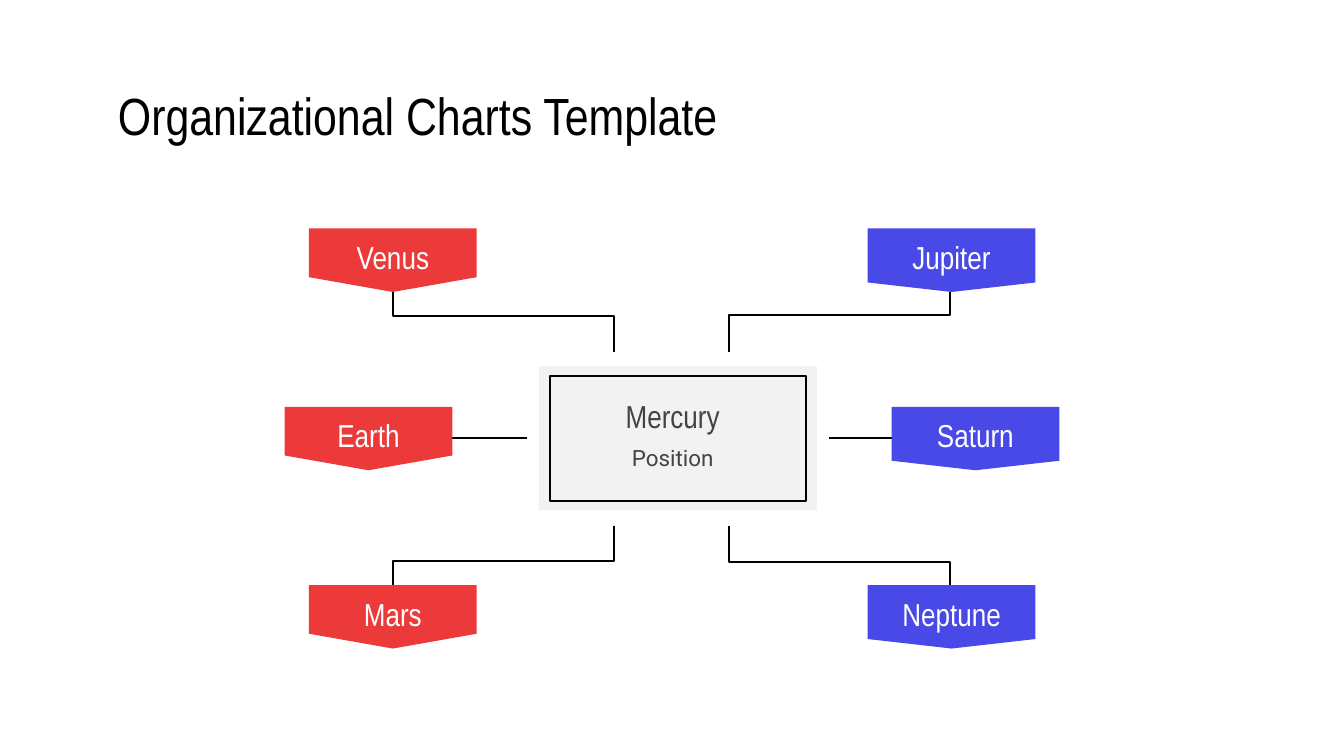
from dataclasses import dataclass

from pptx import Presentation
from pptx import util as u
from pptx.dml.color import RGBColor
from pptx.enum import shapes, text
from pptx.oxml.ns import qn
from pptx.util import Cm


@dataclass(frozen=True)
class Theme:
    black: str = "000000"
    white: str = "FFFFFF"
    red: str = "EC3A3B"
    blue: str = "4949E7"
    panel: str = "F2F2F2"
    grey: str = "434343"
    heading_font: str = "Arial Narrow"
    body_font: str = "Roboto"
    title_size: float = 28
    name_size: float = 17
    position_size: float = 12
    elbow_width: float = 1.06
    link_width: float = 1.17


@dataclass(frozen=True)
class Side:
    """One column of cards; lengths in cm."""
    names: tuple[str, str, str]
    color: str
    outer_left: float
    middle_left: float
    shoulder: float
    tip_x: float
    hub_x: float
    bends: tuple[float, float]
    link: tuple[float, float]


T = Theme()
CARD_W, CARD_H = 3.17, 1.2
CARD_TOP, CARD_STEP = 4.32, 3.37
HUB_TOP, HUB_BOTTOM, HUB_MIDDLE = 6.65, 9.94, 8.28
INSET, CARD_BOTTOM_INSET = 0.25, 0.38

SIDES = (
    Side(("Venus", "Earth", "Mars"), T.red, 5.84, 5.38, 0.92,
         7.42, 11.6, (5.97, 10.6), (6.75, 9.96)),
    Side(("Jupiter", "Saturn", "Neptune"), T.blue, 16.4, 16.85, 1.02,
         17.96, 13.78, (5.95, 10.62), (15.67, 18.88)),
)


def rgb(color: str) -> RGBColor:
    return RGBColor.from_string(color)


def set_text(sp, content: str, size: float, color: str, font: str = T.heading_font,
             align=text.PP_ALIGN.CENTER, bottom: float = INSET) -> None:
    tf = sp.text_frame
    tf.word_wrap = True
    tf.auto_size = text.MSO_AUTO_SIZE.NONE
    tf.vertical_anchor = text.MSO_ANCHOR.MIDDLE
    tf.margin_left = tf.margin_right = tf.margin_top = Cm(INSET)
    tf.margin_bottom = Cm(bottom)
    p = tf.paragraphs[0]
    p.text = content
    p.alignment = align
    p.font.name, p.font.size = font, u.Pt(size)
    p.font.color.rgb = rgb(color)


def set_line(sp, width: float) -> None:
    sp.line.color.rgb = rgb(T.black)
    sp.line.width = u.Pt(width)


def add_path(s, points: list[tuple[float, float]], close: bool):
    start, *rest = [(Cm(x), Cm(y)) for x, y in points]
    builder = s.shapes.build_freeform(*start)
    builder.add_line_segments(rest, close=close)
    sp = builder.convert_to_shape()
    sp.shadow.inherit = False
    return sp


def add_card(s, name: str, side: Side, left: float, top: float) -> None:
    right, shoulder = left + CARD_W, top + side.shoulder
    sp = add_path(s, [(left, top), (left, shoulder),
                      (left + CARD_W / 2, top + CARD_H),
                      (right, shoulder), (right, top)], close=True)
    sp.fill.solid()
    sp.fill.fore_color.rgb = rgb(side.color)
    sp.line.fill.background()
    set_text(sp, name, T.name_size, T.white, bottom=CARD_BOTTOM_INSET)


def add_elbow(s, side: Side, card_y: float, bend: float, hub_y: float) -> None:
    sp = add_path(s, [(side.tip_x, card_y), (side.tip_x, bend),
                      (side.hub_x, bend), (side.hub_x, hub_y)], close=False)
    sp.fill.background()
    set_line(sp, T.elbow_width)


def add_link(s, x1: float, x2: float) -> None:
    c = s.shapes.add_connector(shapes.MSO_CONNECTOR.STRAIGHT,
                               Cm(x1), Cm(HUB_MIDDLE), Cm(x2), Cm(HUB_MIDDLE))
    set_line(c, T.link_width)
    sp_pr = c._element.spPr
    sp_pr.append(sp_pr.makeelement(qn("a:effectLst"), {}))


def add_side(s, side: Side) -> None:
    tops = [CARD_TOP + i * CARD_STEP for i in range(3)]
    lefts = (side.outer_left, side.middle_left, side.outer_left)
    add_link(s, *side.link)
    for name, left, top in zip(side.names, lefts, tops):
        add_card(s, name, side, left, top)
    add_elbow(s, side, tops[0] + CARD_H, side.bends[0], HUB_TOP)
    add_elbow(s, side, tops[2], side.bends[1], HUB_BOTTOM)


def add_hub(s) -> None:
    panel, frame = (
        s.shapes.add_shape(shapes.MSO_SHAPE.RECTANGLE, *map(Cm, box))
        for box in ((10.19, 6.92, 5.25, 2.73), (10.4, 7.11, 4.83, 2.36)))
    for sp in (panel, frame):
        sp.shadow.inherit = False
    panel.fill.solid()
    panel.fill.fore_color.rgb = rgb(T.panel)
    panel.line.fill.background()
    frame.fill.background()
    set_line(frame, T.elbow_width)
    for content, top, height, size, font in (
            ("Mercury", 7.49, 0.74, T.name_size, T.heading_font),
            ("Position", 8.23, 0.84, T.position_size, T.body_font)):
        sp = s.shapes.add_textbox(Cm(10.72), Cm(top), Cm(3.99), Cm(height))
        set_text(sp, content, size, T.grey, font)


def main() -> None:
    prs = Presentation()
    prs.slide_width, prs.slide_height = Cm(25.4), Cm(14.29)
    s = prs.slides.add_slide(prs.slide_layouts[5])
    title = s.shapes.title
    title.left, title.top, title.width, title.height = map(Cm, (1.98, 1.5, 21.46, 1.35))
    set_text(title, "Organizational Charts Template", T.title_size, T.black,
             align=text.PP_ALIGN.LEFT)
    for side in SIDES:
        add_side(s, side)
    add_hub(s)
    prs.save("out.pptx")


if __name__ == "__main__":
    main()
